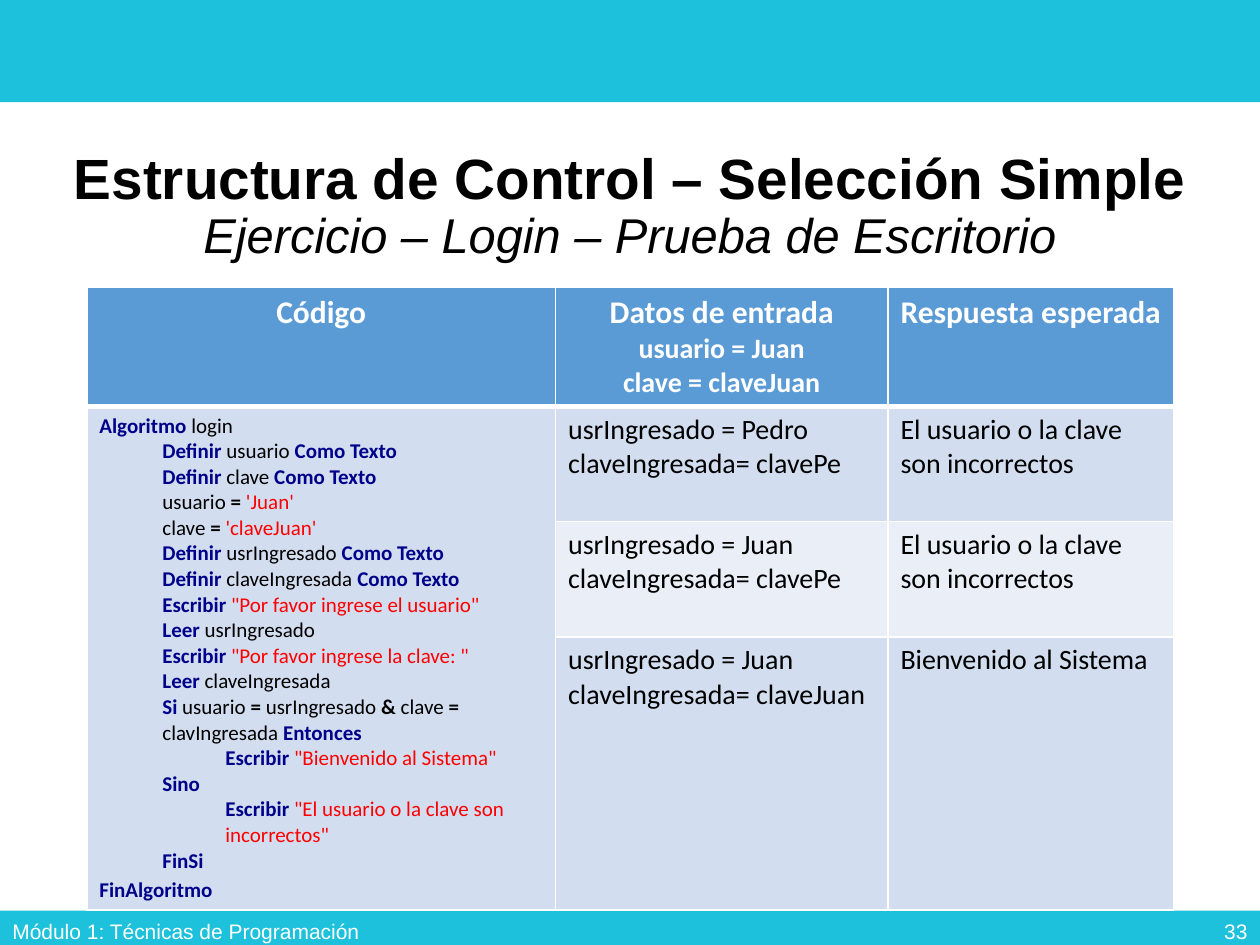
from dataclasses import dataclass, replace
from lxml.etree import SubElement as Sub
from pptx import Presentation as Deck
from pptx.dml.color import RGBColor as Rgb
from pptx.enum.shapes import MSO_SHAPE as Geo
from pptx.enum.text import MSO_ANCHOR as Anchor, MSO_AUTO_SIZE as Fit, PP_ALIGN as Align
from pptx.oxml.ns import qn
from pptx.util import Cm, Pt


@dataclass(frozen=True)
class Type:
    size: float
    color: str
    bold: bool = False
    italic: bool = False
    font: str = "Calibri"


class Theme:
    band = "1DC1DC"
    head = "5B9BD5"
    dark, light = "D2DEEF", "EAEFF7"
    line = "FFFFFF"
    title = Type(32.4, "000000", True, font="Arial")
    sub = Type(27.9, "000000", italic=True, font="Arial")
    foot = Type(12, "FFFFFF", font="Arial")
    top = Type(18, "FFFFFF", True)
    note = replace(top, size=16)
    body = Type(16, "000000")
    plain = Type(12, "000000")
    sign = replace(plain, bold=True)
    key = Type(12, "00008B", True)
    text = Type(12, "FF0000")
    end = replace(plain, size=14)


class Page:
    def __init__(self, deck, theme):
        self.theme = theme
        self.slide = deck.slides.add_slide(deck.slide_layouts[5])

    def run(self, para, words, kind):
        run = para.add_run()
        run.text = words
        font = run.font
        font.name, font.size = kind.font, Pt(kind.size)
        font.bold, font.italic = kind.bold, kind.italic
        font.color.rgb = Rgb.from_string(kind.color)

    def fill(self, item, color):
        item.fill.solid()
        item.fill.fore_color.rgb = Rgb.from_string(color)

    def lines(self, frame, rows, align=Align.LEFT):
        """Each row is (indent level, [(words, type), ...])."""
        for i, (level, runs) in enumerate(rows):
            para = frame.add_paragraph() if i else frame.paragraphs[0]
            para.alignment = align
            if level:
                para.level = level
                para._p.get_or_add_pPr().set("marL", str(Cm(1.27 * level)))
            for words, kind in runs:
                self.run(para, words, kind)

    def band(self, top, height):
        bar = self.slide.shapes.add_shape(Geo.RECTANGLE, 0, Cm(top), Cm(25.4), Cm(height))
        bar.shadow.inherit = False
        bar.line.fill.background()
        self.fill(bar, self.theme.band)

    def title(self, main, sub):
        box = self.slide.shapes.title
        box.left, box.top, box.width, box.height = Cm(0), Cm(2.49), Cm(25.4), Cm(3.38)
        frame = box.text_frame
        frame.word_wrap, frame.auto_size = True, Fit.NONE
        frame.vertical_anchor = Anchor.MIDDLE
        para = frame.paragraphs[0]
        para.alignment, para.line_spacing = Align.CENTER, 0.9
        self.run(para, main, self.theme.title)
        para.add_line_break()
        self.run(para, sub, self.theme.sub)

    def label(self, left, width, words, align):
        box = self.slide.shapes.add_textbox(Cm(left), Cm(18.26), Cm(width), Cm(1.02))
        frame = box.text_frame
        frame.word_wrap, frame.vertical_anchor = True, Anchor.MIDDLE
        self.lines(frame, [(0, [(words, self.theme.foot)])], align)

    def edges(self, cell, **widths):
        props = cell._tc.get_or_add_tcPr()
        for side in "LRTB":
            edge = Sub(props, qn(f"a:ln{side}"), w=str(Pt(widths.get(side, 1))))
            Sub(Sub(edge, qn("a:solidFill")), qn("a:srgbClr"), val=self.theme.line)

    def table(self, left, top, cols, rows):
        frame = self.slide.shapes.add_table(
            len(rows), len(cols), Cm(left), Cm(top), Cm(sum(cols)), Cm(sum(rows)))
        grid = frame.table
        for col, width in zip(grid.columns, cols):
            col.width = Cm(width)
        for row, height in zip(grid.rows, rows):
            row.height = Cm(height)
        fills = [self.theme.head, self.theme.dark, self.theme.light, self.theme.dark]
        for r, row in enumerate(grid.rows):
            for cell in row.cells:
                self.edges(cell, **({"B": 3} if r == 0 else {"T": 3} if r == 1 else {}))
                self.fill(cell, fills[r])
        return grid


def main():
    deck = Deck()
    deck.slide_width, deck.slide_height = Cm(25.4), Cm(19.05)
    look = Theme()
    page = Page(deck, look)

    # Bands and title
    page.band(0, 2.06)
    page.band(18.36, 0.69)
    page.title("Estructura de Control – Selección Simple",
               "Ejercicio – Login – Prueba de Escritorio")

    # Table with its header row
    grid = page.table(1.75, 5.79, [9.45, 6.7, 5.76], [2.39, 2.31, 2.33, 5.48])
    grid.cell(1, 0).merge(grid.cell(3, 0))
    heads = [["Código"],
             ["Datos de entrada", "usuario = Juan", "clave = claveJuan"],
             ["Respuesta esperada"]]
    for c, words in enumerate(heads):
        rows = [(0, [(w, look.note if i else look.top)]) for i, w in enumerate(words)]
        page.lines(grid.cell(0, c).text_frame, rows, Align.CENTER)

    # Pseudocode
    key, plain, sign, text = look.key, look.plain, look.sign, look.text

    def define(name):
        return 1, [("Definir ", key), (name + " ", plain), ("Como Texto", key)]

    def assign(name, value):
        return 1, [(name + " ", plain), ("= ", sign), (value, text)]

    def write(level, value):
        return level, [("Escribir ", key), (value, text)]

    def read(name):
        return 1, [("Leer ", key), (name, plain)]

    code = [
        (0, [("Algoritmo ", key), ("login", plain)]),
        define("usuario"),
        define("clave"),
        assign("usuario", "'Juan'"),
        assign("clave", "'claveJuan'"),
        define("usrIngresado"),
        define("claveIngresada"),
        write(1, '"Por favor ingrese el usuario"'),
        read("usrIngresado"),
        write(1, '"Por favor ingrese la clave: "'),
        read("claveIngresada"),
        (1, [("Si", key), (" usuario ", plain), ("= ", sign), ("usrIngresado ", plain),
             ("&", sign), (" clave ", plain), ("= ", sign), ("clavIngresada ", plain),
             ("Entonces", key)]),
        write(2, '"Bienvenido al Sistema"'),
        (1, [("Sino", key)]),
        write(2, '"El usuario o la clave son incorrectos"'),
        (1, [("FinSi", key)]),
        (0, [("FinAlgoritmo", key), (" ", look.end)]),
    ]
    page.lines(grid.cell(1, 0).text_frame, code)

    # Test cases: user, password, answer
    wrong = "El usuario o la clave son incorrectos"
    cases = [("Pedro", "clavePe", wrong),
             ("Juan", "clavePe", wrong),
             ("Juan", "claveJuan", "Bienvenido al Sistema")]
    for r, (user, word, reply) in enumerate(cases, 1):
        data = [f"usrIngresado = {user}", f"claveIngresada= {word}"]
        for c, words in enumerate([data, [reply]], 1):
            page.lines(grid.cell(r, c).text_frame, [(0, [(w, look.body)]) for w in words])

    # Footer
    page.label(0, 8.59, "Módulo 1: Técnicas de Programación", Align.LEFT)
    page.label(19.69, 5.71, "33", Align.RIGHT)

    deck.save("out.pptx")


if __name__ == "__main__":
    main()
